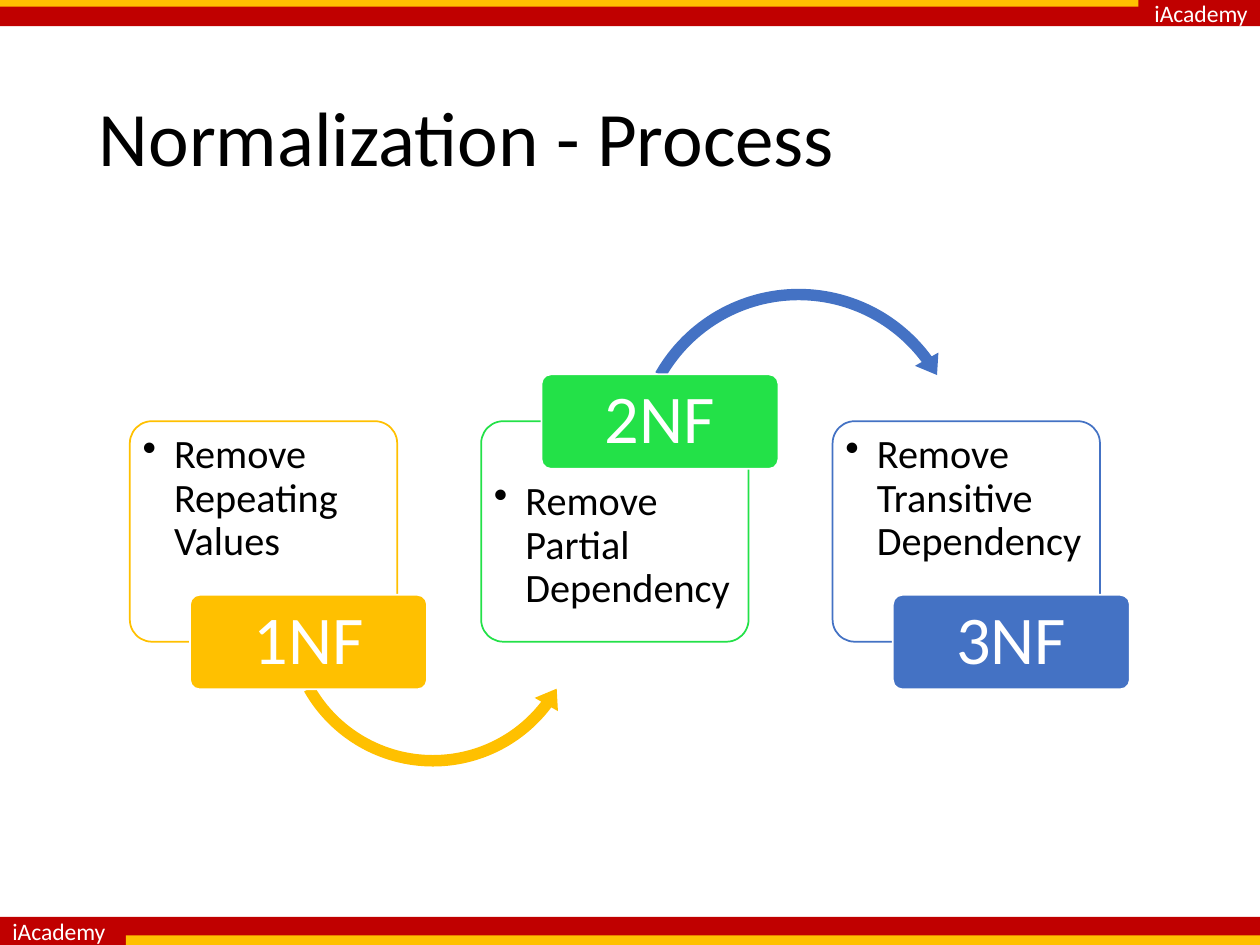
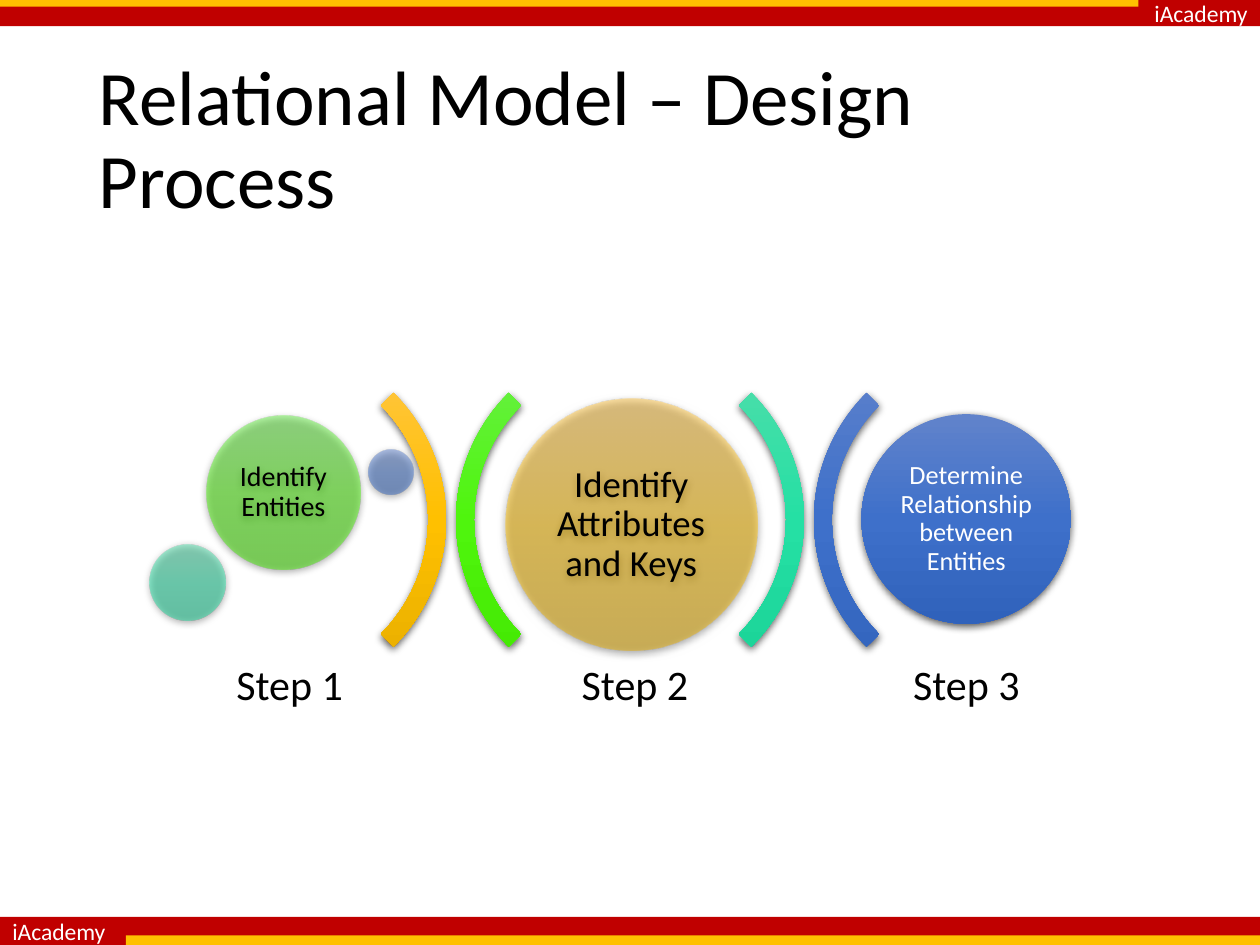
import pptx
import pptx.util
import pptx.dml.color
import pptx.enum.shapes
import pptx.enum.text
import pptx.oxml
import pptx.oxml.ns
from dataclasses import dataclass

Pt = pptx.util.Pt
SHAPE = pptx.enum.shapes.MSO_SHAPE
ALIGN = pptx.enum.text.PP_ALIGN
ANCHOR = pptx.enum.text.MSO_ANCHOR
qn = pptx.oxml.ns.qn
NS = pptx.oxml.ns.nsdecls("a")


@dataclass(frozen=True)
class Theme:
    font: str = "Calibri"
    red: str = "C00000"
    gold: str = "FFC000"
    green: str = "23E148"
    blue: str = "4472C4"
    white: str = "FFFFFF"
    black: str = "000000"
    # Light, middle and dark shade of each gradient
    amber_shades: tuple = ("FFC64B", "FFC000", "E3AB00")
    lime_shades: tuple = ("6BEF4D", "4FF50D", "41E500")
    teal_shades: tuple = ("55DDAB", "25E0A4", "18D095")
    blue_shades: tuple = ("6183CB", "3E70CA", "3062BB")
    title_size: float = 44
    form_size: float = 39
    step_size: float = 24
    task_size: float = 23
    band_size: float = 13.5


theme = Theme()


def add_part(slide, kind, box, fill, line=None, opacity=100):
    """Add a shape; a tuple of shades gives a glossy gradient with a soft shadow."""
    part = slide.shapes.add_shape(kind, *[Pt(v) for v in box])
    part.shadow.inherit = False
    if line:
        part.line.color.rgb = pptx.dml.color.RGBColor.from_string(line)
        part.line.width = Pt(1)
    else:
        part.line.fill.background()
    if isinstance(fill, str):
        part.fill.solid()
        part.fill.fore_color.rgb = pptx.dml.color.RGBColor.from_string(fill)
        return part
    properties = part._element.spPr
    stops = "".join(
        f'<a:gs pos="{i * 50000}"><a:srgbClr val="{shade}">'
        f'<a:alpha val="{opacity * 1000}"/></a:srgbClr></a:gs>'
        for i, shade in enumerate(fill))
    properties.find(qn("a:prstGeom")).addnext(pptx.oxml.parse_xml(
        f'<a:gradFill {NS} rotWithShape="0"><a:gsLst>{stops}</a:gsLst>'
        '<a:lin ang="5400000" scaled="0"/></a:gradFill>'))
    properties.find(qn("a:effectLst")).append(pptx.oxml.parse_xml(
        f'<a:outerShdw {NS} blurRad="{Pt(4.5)}" dist="{Pt(1.5)}" dir="5400000" '
        'algn="ctr" rotWithShape="0"><a:srgbClr val="000000">'
        '<a:alpha val="63000"/></a:srgbClr></a:outerShdw>'))
    return part


def write(part, text, size, color, align=ALIGN.CENTER, anchor=ANCHOR.MIDDLE,
          insets=(7.2, 3.6, 7.2, 3.6), wrap=True, bullet=False, spacing=0.9):
    frame = part.text_frame
    frame.word_wrap = wrap
    frame.vertical_anchor = anchor
    (frame.margin_left, frame.margin_top,
     frame.margin_right, frame.margin_bottom) = [Pt(v) for v in insets]
    paragraph = frame.paragraphs[0]
    paragraph.alignment = align
    paragraph.line_spacing = spacing
    if bullet:
        settings = paragraph._p.get_or_add_pPr()
        settings.set("marL", str(Pt(18)))
        settings.set("indent", str(-Pt(18)))
        settings.append(pptx.oxml.parse_xml(f'<a:buChar {NS} char="•"/>'))
    run = paragraph.add_run()
    run.text = text
    run.font.name = theme.font
    run.font.size = Pt(size)
    run.font.color.rgb = pptx.dml.color.RGBColor.from_string(color)


deck = pptx.Presentation()
deck.slide_width, deck.slide_height = Pt(720), Pt(540)

# Bands and title shared by both slides
slides = []
for title in ("Normalization - Process", "Relational Model – Design Process"):
    slide = deck.slides.add_slide(deck.slide_layouts[6])
    for top, height, align in ((0, 15, ALIGN.RIGHT), (524, 16, ALIGN.LEFT)):
        band = add_part(slide, SHAPE.RECTANGLE, (0, top, 720, height), theme.red)
        write(band, "iAcademy", theme.band_size, theme.white, align,
              wrap=False, spacing=1.0)
    for stripe in ((0, 0, 650.5, 3.8), (72, 534.5, 648, 5.5)):
        add_part(slide, SHAPE.RECTANGLE, stripe, theme.gold)
    heading = slide.shapes.add_textbox(Pt(49.5), Pt(28.75), Pt(621), Pt(104.4))
    write(heading, title, theme.title_size, theme.black, ALIGN.LEFT)
    slides.append(slide)
normalization, design = slides

# Normal forms; arrows give box, then thickness %, three angles, head width %
forms = (
    ("1NF", "Remove Repeating Values", theme.gold, False,
     (SHAPE.LEFT_CIRCULAR_ARROW, (158.4, 264.4, 178, 178),
      (3.7, 7.62, 37.21, 150.41, 4.3))),
    ("2NF", "Remove Partial Dependency", theme.green, True,
     (SHAPE.CIRCULAR_ARROW, (357.8, 160.6, 197.2, 197.2),
      (3.3, 6.81, 323.6, 209.59, 3.9))),
    ("3NF", "Remove Transitive Dependency", theme.blue, False, None),
)
arrow_colors = (theme.gold, theme.blue)
for i, (form, task, color, label_on_top, arrow) in enumerate(forms):
    left = 74.2 + i * 200.8
    card = add_part(normalization, SHAPE.ROUNDED_RECTANGLE,
                    (left, 240.7, 152.8, 126), theme.white, color)
    card.adjustments[0] = 0.1
    write(card, task, theme.task_size, theme.black, ALIGN.LEFT, ANCHOR.TOP,
          (3.6, 30.4 if label_on_top else 3.6, 3.6, 3.6), bullet=True)
    if arrow:
        kind, box, (thickness, *angles, head) = arrow
        curve = add_part(normalization, kind, box, arrow_colors[i])
        values = [thickness / 100, *[a * 0.6 for a in angles], head / 100]
        for n, value in enumerate(values):
            curve.adjustments[n] = value
    label = add_part(normalization, SHAPE.ROUNDED_RECTANGLE,
                     (left + 34.4, 213.9 if label_on_top else 339.9, 135.4, 54),
                     color, theme.white)
    label.adjustments[0] = 0.1
    write(label, form, theme.form_size, theme.white, insets=(5.8, 3.6, 5.8, 3.6))

# Arcs between the design steps
for left, rotation, shades in (
        (49.7, 90, theme.amber_shades), (260.6, 270, theme.lime_shades),
        (254.2, 90, theme.teal_shades), (465.1, 270, theme.blue_shades)):
    arc = add_part(design, SHAPE.BLOCK_ARC, (left, 194.4, 205.2, 205.2), shades)
    arc.rotation = rotation
    for n, value in enumerate((225 * 0.6, 315 * 0.6, 0.05)):
        arc.adjustments[n] = value

# Circles: left, top, diameter, shades, opacity, text, size, colour, inset
for left, top, diameter, shades, opacity, task, size, color, inset in (
        (288.7, 228, 144, theme.amber_shades, 50,
         "Identify Attributes and Keys", 21, theme.black, 0),
        (118, 237.4, 88, theme.lime_shades, 50,
         "Identify Entities", 16, theme.black, 5),
        (85.7, 311, 43.4, theme.teal_shades, 50, None, 0, None, 0),
        (210.6, 257, 25.6, theme.blue_shades, 50, None, 0, None, 0),
        (492.3, 236.7, 119.8, theme.blue_shades, 100,
         "Determine Relationship between Entities", 15, theme.white, 4.3)):
    circle = add_part(design, SHAPE.OVAL, (left, top, diameter, diameter),
                      shades, opacity=opacity)
    if task:
        write(circle, task, size, color, insets=(inset,) * 4)

# Step captions
for number, left in enumerate((87.8, 285.1, 474.5), start=1):
    caption = design.shapes.add_textbox(Pt(left), Pt(372.2), Pt(155.5), Pt(41))
    write(caption, f"Step {number}", theme.step_size, theme.black,
          insets=(7.2,) * 4)

deck.save("out.pptx")
